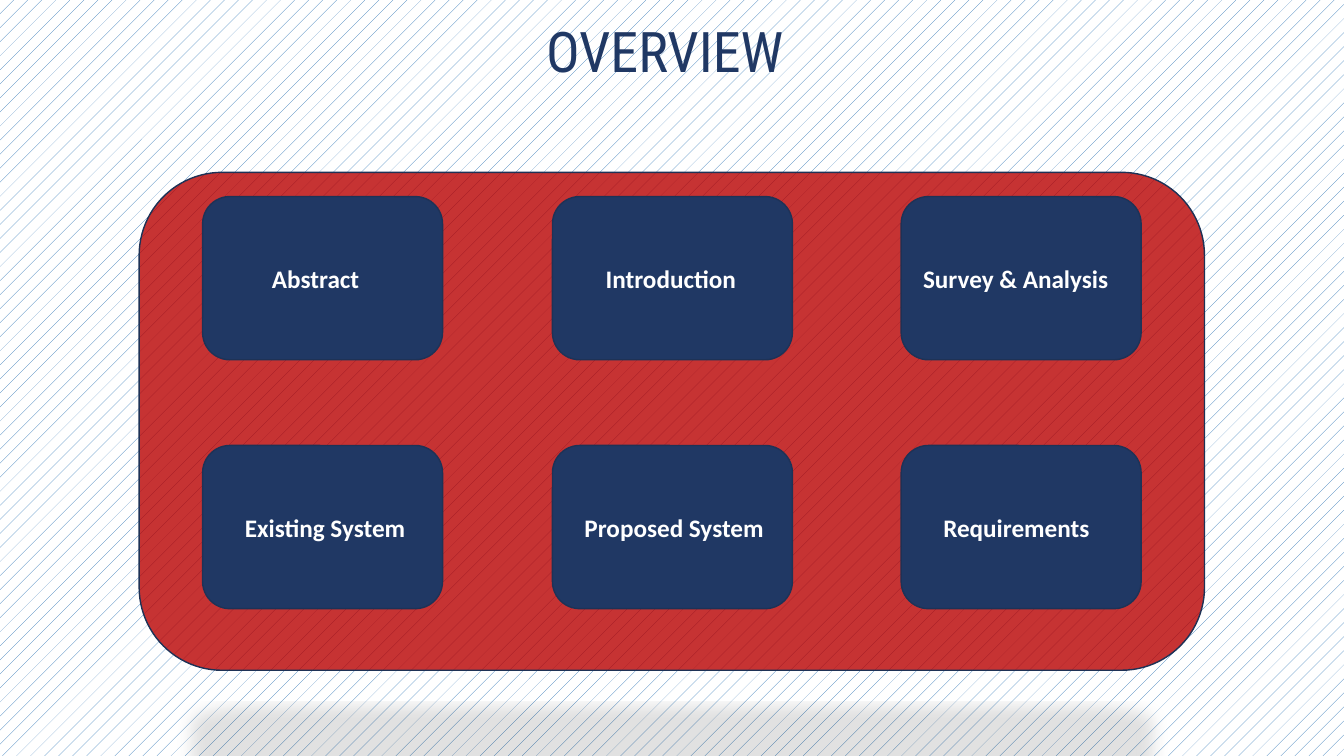
import pptx
import pptx.dml.color
import pptx.enum.dml
import pptx.enum.shapes
import pptx.enum.text
import pptx.oxml
import pptx.util

Pt = pptx.util.Pt
NAVY = "203864"
OUTLINE = "1E3256"
RED = "B80000"
WHITE = "FFFFFF"
DRAWING = "http://schemas.openxmlformats.org/drawingml/2006/main"

TILE_LEFTS = (144.7, 394.6, 643.7)
TILE_TOPS = (140.4, 318.2)
TILE_SIZE = (171.4, 116.6)
LABEL_DROP = 44
# Wording, left and width of each label, by row.
LABELS = (
    (("Abstract", 187.2, 80.6), ("Introduction", 425.5, 109.4),
     ("Survey & Analysis", 652.3, 154.1)),
    (("Existing System", 167.8, 133.2), ("Proposed System", 410.4, 146.9),
     ("Requirements", 666.7, 124.6)),
)


def color(value):
    return pptx.dml.color.RGBColor.from_string(value)


def paint_background(page):
    fill = page.background.fill
    fill.patterned()
    fill.pattern = pptx.enum.dml.MSO_PATTERN.PERCENT_5
    fill.fore_color.rgb = color("2E75B6")
    fill.back_color.rgb = color(WHITE)


def add_rounded_box(shapes, left, top, width, height, fill):
    box = shapes.add_shape(
        pptx.enum.shapes.MSO_SHAPE.ROUNDED_RECTANGLE,
        Pt(left), Pt(top), Pt(width), Pt(height))
    box.shadow.inherit = False
    box.fill.solid()
    box.fill.fore_color.rgb = color(fill)
    box.line.color.rgb = color(OUTLINE)
    box.line.width = Pt(1)
    return box


def add_text(shapes, wording, left, top, width, height, size, font, fill, bold=False):
    box = shapes.add_textbox(Pt(left), Pt(top), Pt(width), Pt(height))
    frame = box.text_frame
    frame.word_wrap = False
    frame.auto_size = pptx.enum.text.MSO_AUTO_SIZE.SHAPE_TO_FIT_TEXT
    para = frame.paragraphs[0]
    para.text = wording
    para.font.size = Pt(size)
    para.font.name = font
    para.font.bold = bold
    para.font.color.rgb = color(fill)


def set_opacity(box, percent):
    solid = box.fill._xPr.find(f"{{{DRAWING}}}solidFill")
    solid[0].append(pptx.oxml.parse_xml(
        f'<a:alpha xmlns:a="{DRAWING}" val="{percent * 1000}"/>'))


def add_floor_shadow(box):
    """Cast a flattened, mirrored shadow below the box."""
    effects = box._element.spPr.find(f"{{{DRAWING}}}effectLst")
    effects.append(pptx.oxml.parse_xml(
        f'<a:outerShdw xmlns:a="{DRAWING}" blurRad="{Pt(12)}" dist="{Pt(25)}" '
        'dir="5400000" sx="90000" sy="-19000" rotWithShape="0">'
        '<a:srgbClr val="000000"><a:alpha val="15000"/></a:srgbClr>'
        '</a:outerShdw>'))


def add_overview(page):
    shapes = page.shapes.add_group_shape().shapes
    panel = add_rounded_box(shapes, 99.4, 123.1, 761, 355.7, RED)
    set_opacity(panel, 80)
    add_floor_shadow(panel)
    for top in TILE_TOPS:
        for left in TILE_LEFTS:
            add_rounded_box(shapes, left, top, *TILE_SIZE, NAVY)
    for top, labels in zip(TILE_TOPS, LABELS):
        for wording, left, width in labels:
            add_text(shapes, wording, left, top + LABEL_DROP, width, 29,
                     18, "Calibri", WHITE, bold=True)


def main():
    deck = pptx.Presentation()
    deck.slide_width = Pt(960)
    deck.slide_height = Pt(540)
    page = deck.slides.add_slide(deck.slide_layouts[6])
    paint_background(page)
    add_text(page.shapes, "OVERVIEW", 383, 8.6, 193.7, 55.4,
             40, "Roboto Condensed", NAVY)
    add_overview(page)
    deck.save("out.pptx")


if __name__ == "__main__":
    main()
